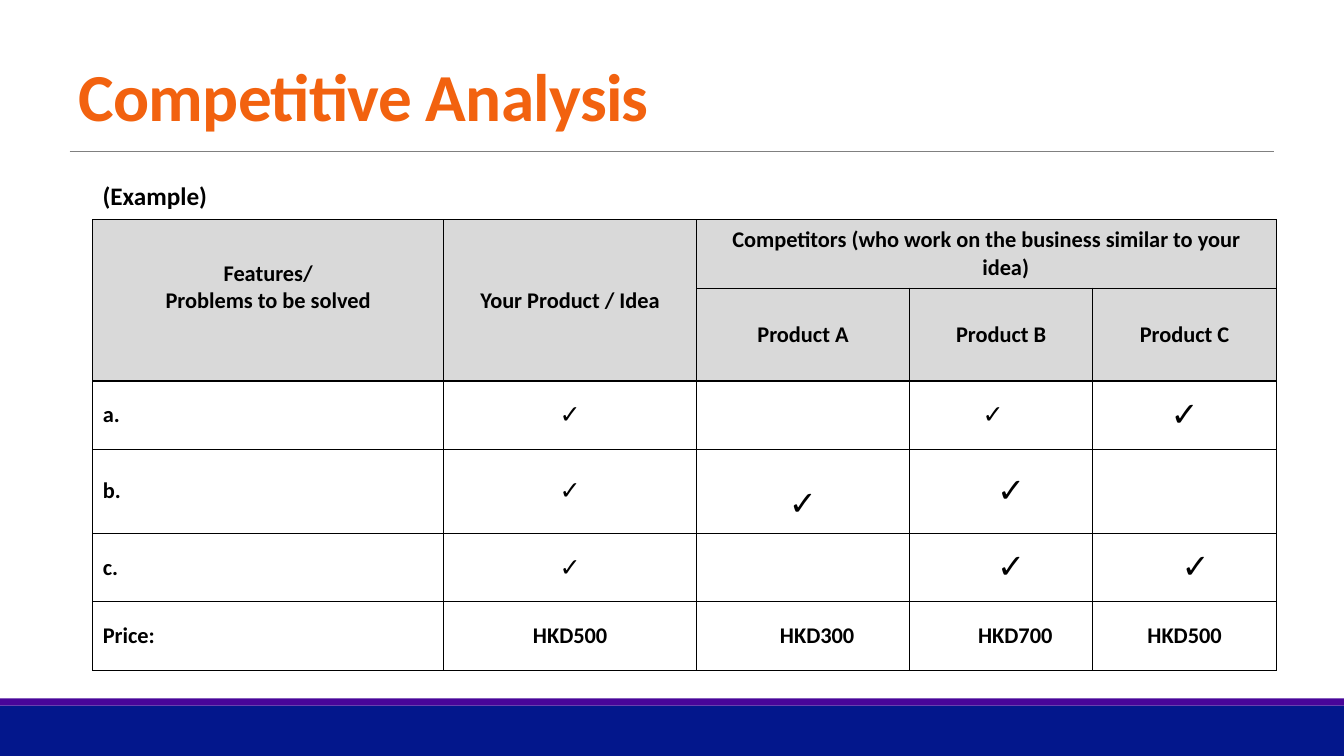
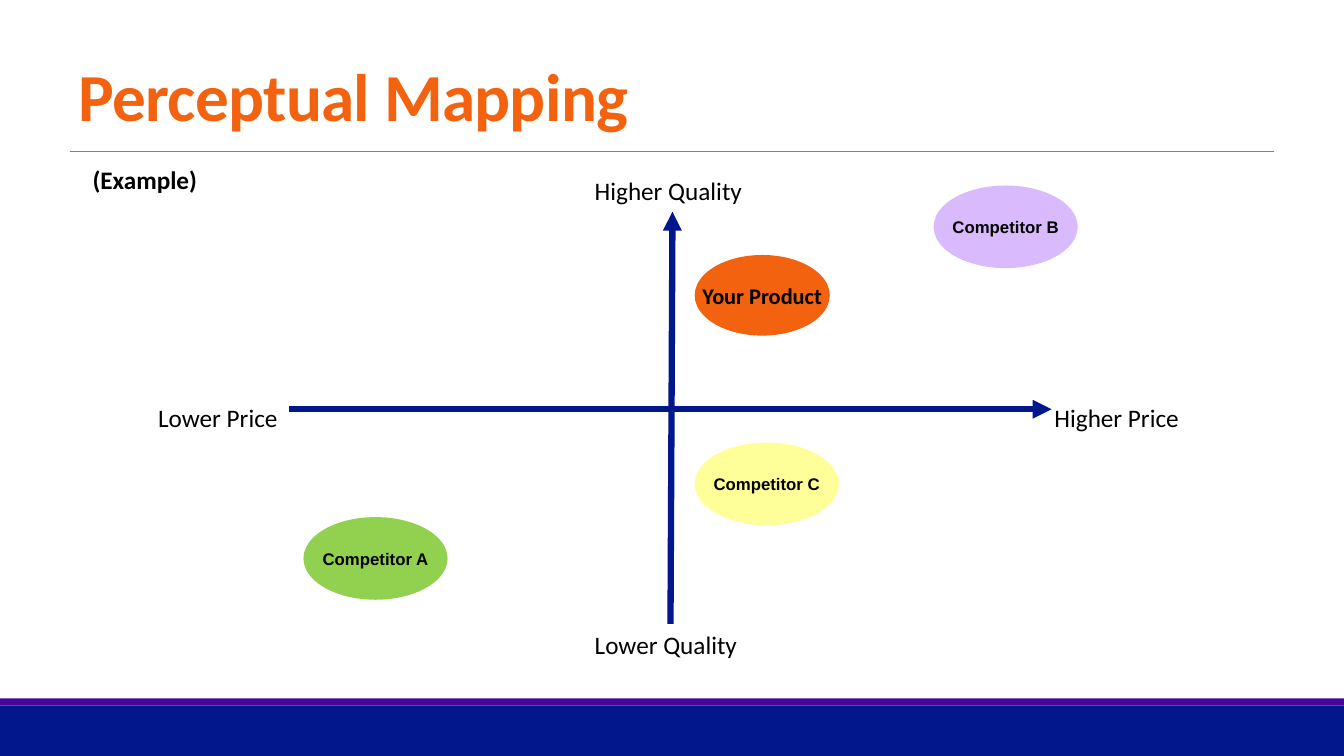
from lxml.etree import SubElement
from pptx import Presentation
from pptx.dml.color import RGBColor
from pptx.enum.shapes import MSO_CONNECTOR as Connector, MSO_SHAPE as Shape
from pptx.enum.text import MSO_ANCHOR as Anchor, MSO_AUTO_SIZE as AutoSize, PP_ALIGN as Align
from pptx.oxml.ns import qn
from pptx.util import Emu, Pt

PX = 9144
WIDTH, HEIGHT = 1333, 750
NAVY, PURPLE, ORANGE = "03178C", "480599", "F2620F"
BLACK, WHITE, GRAY, HEADER = "000000", "FFFFFF", "808080", "D9D9D9"


def px(*lengths):
    return [Emu(length * PX) for length in lengths]


def color(value):
    return RGBColor.from_string(value)


class Deck:
    """Holds the shared style and the current page."""

    def __init__(self):
        self.deck = Presentation()
        self.deck.slide_width, self.deck.slide_height = px(WIDTH, HEIGHT)
        self.page = None

    def add_page(self, title):
        self.page = self.deck.slides.add_slide(self.deck.slide_layouts[5])
        self.shape(Shape.RECTANGLE, 0, 700, WIDTH, 50, NAVY)
        self.shape(Shape.RECTANGLE, 0, 693, WIDTH, 7, PURPLE)
        self.line(69, 150, 1264, 150, GRAY, 0.5)
        box = self.page.shapes.title
        box.left, box.top, box.width, box.height = px(68, 31, 1197, 108)
        frame = box.text_frame
        frame.auto_size = AutoSize.NONE
        frame.vertical_anchor = Anchor.BOTTOM
        self.set_text(frame, title, 48, bold=True, ink=ORANGE)
        para = frame.paragraphs[0]
        para.line_spacing = 0.85
        para.runs[0].font._element.set("spc", "-50")

    def set_text(self, frame, text, size, bold=False, ink=BLACK, align=Align.LEFT, face="Calibri"):
        frame.text = text
        for para in frame.paragraphs:
            para.alignment = align
            font = para.font
            font.name, font.size, font.bold = face, Pt(size), bold
            font.color.rgb = color(ink)

    def shape(self, kind, left, top, width, height, fill):
        shape = self.page.shapes.add_shape(kind, *px(left, top, width, height))
        shape.shadow.inherit = False
        shape.fill.solid()
        shape.fill.fore_color.rgb = color(fill)
        shape.line.fill.background()
        return shape

    def bubble(self, left, top, width, height, fill, text, size, face):
        frame = self.shape(Shape.OVAL, left, top, width, height, fill).text_frame
        frame.word_wrap = False
        frame.vertical_anchor = Anchor.MIDDLE
        self.set_text(frame, text, size, bold=True, align=Align.CENTER, face=face)

    def line(self, x1, y1, x2, y2, ink, weight, arrow=False):
        line = self.page.shapes.add_connector(Connector.STRAIGHT, *px(x1, y1, x2, y2))
        line.line.color.rgb = color(ink)
        line.line.width = Pt(weight)
        properties = line._element.spPr
        if arrow:
            SubElement(properties.get_or_add_ln(), qn("a:tailEnd"), type="triangle")
        SubElement(properties, qn("a:effectLst"))

    def label(self, left, top, width, text, bold=False, wrap=True):
        frame = self.page.shapes.add_textbox(*px(left, top, width, 40)).text_frame
        frame.word_wrap = wrap
        self.set_text(frame, text, 18, bold)

    def table(self, left, top, columns, rows):
        size = px(sum(columns), sum(rows))
        frame = self.page.shapes.add_table(len(rows), len(columns), *px(left, top), *size)
        table = frame.table
        table.first_row = table.horz_banding = False
        for column, width in zip(table.columns, px(*columns)):
            column.width = width
        for row, height in zip(table.rows, px(*rows)):
            row.height = height
        return table

    def style_cell(self, cell, fill):
        cell.vertical_anchor = Anchor.MIDDLE
        properties = cell._tc.get_or_add_tcPr()
        for side in ("lnL", "lnR", "lnT", "lnB"):
            border = SubElement(properties, qn(f"a:{side}"), w=str(Pt(1)))
            SubElement(SubElement(border, qn("a:solidFill")), qn("a:srgbClr"), val=BLACK)
        cell.fill.solid()
        cell.fill.fore_color.rgb = color(fill)

    def fill_cell(self, cell, text, size=16, bold=True, align=Align.CENTER, right=0, down=0):
        self.set_text(cell.text_frame, text, size, bold, align=align)
        for para in cell.text_frame.paragraphs:
            properties = para._p.get_or_add_pPr()
            properties.set("marL", str(38 * PX))
            properties.set("indent", str(-38 * PX))
        cell.margin_left, cell.margin_right = px(10 + max(2 * right, 0), 10 + max(-2 * right, 0))
        cell.margin_top, cell.margin_bottom = px(5 + max(2 * down, 0), 5 + max(-2 * down, 0))


def competitive_analysis(deck):
    deck.add_page("Competitive Analysis")
    table = deck.table(92, 218, [348, 251, 211, 182, 182], [68, 92, 68, 83, 68, 68])
    for row in range(6):
        for column in range(5):
            deck.style_cell(table.cell(row, column), HEADER if row < 2 else WHITE)
    for start, end in [((0, 0), (1, 0)), ((0, 1), (1, 1)), ((0, 2), (0, 4))]:
        table.cell(*start).merge(table.cell(*end))

    deck.fill_cell(table.cell(0, 0), "Features/\nProblems to be solved", down=-13)
    deck.fill_cell(table.cell(0, 1), "Your Product / Idea")
    deck.fill_cell(table.cell(0, 2), "Competitors (who work on the business similar to your idea)")
    for column, letter in enumerate("ABC", 2):
        deck.fill_cell(table.cell(1, column), f"Product {letter}")
    for row, feature in enumerate(["a.", "b.", "c.", "Price:"], 2):
        deck.fill_cell(table.cell(row, 0), feature, align=Align.LEFT)
    ticks = [
        (2, 1, 18, 0, 0), (2, 3, 18, -8, 0), (2, 4, 24, 0, 0),
        (3, 1, 18, 0, 0), (3, 2, 24, 0, 13), (3, 3, 24, 10, 0),
        (4, 1, 18, 0, 0), (4, 3, 24, 10, 0), (4, 4, 24, 11, 0),
    ]
    for row, column, size, right, down in ticks:
        deck.fill_cell(table.cell(row, column), "✓", size, right=right, down=down)
    prices = [("HKD500", 0), ("HKD300", 14), ("HKD700", 14), ("HKD500", 0)]
    for column, (price, right) in enumerate(prices, 1):
        deck.fill_cell(table.cell(5, column), price, right=right)
    deck.label(92, 174, 130, "(Example)", bold=True, wrap=False)


def perceptual_mapping(deck):
    deck.add_page("Perceptual Mapping")
    deck.line(287, 406, 1043, 406, NAVY, 4.5, arrow=True)
    deck.line(665, 619, 667, 210, NAVY, 4.5, arrow=True)
    for left, top, text in [
        (147, 394, "Lower Price"),
        (1036, 394, "Higher Price"),
        (580, 619, "Lower Quality"),
        (580, 169, "Higher Quality"),
    ]:
        deck.label(left, top, 228, text)
    deck.bubble(689, 253, 134, 80, ORANGE, "Your Product", 16, "Calibri")
    for left, top, fill, letter in [
        (689, 439, "FFFF99", "C"),
        (926, 184, "D9BBFD", "B"),
        (301, 513, "92D050", "A"),
    ]:
        deck.bubble(left, top, 143, 82, fill, f"Competitor {letter}", 12, "Arial")
    deck.label(82, 158, 130, "(Example)", bold=True, wrap=False)


def main():
    deck = Deck()
    competitive_analysis(deck)
    perceptual_mapping(deck)
    deck.deck.save("out.pptx")


if __name__ == "__main__":
    main()
